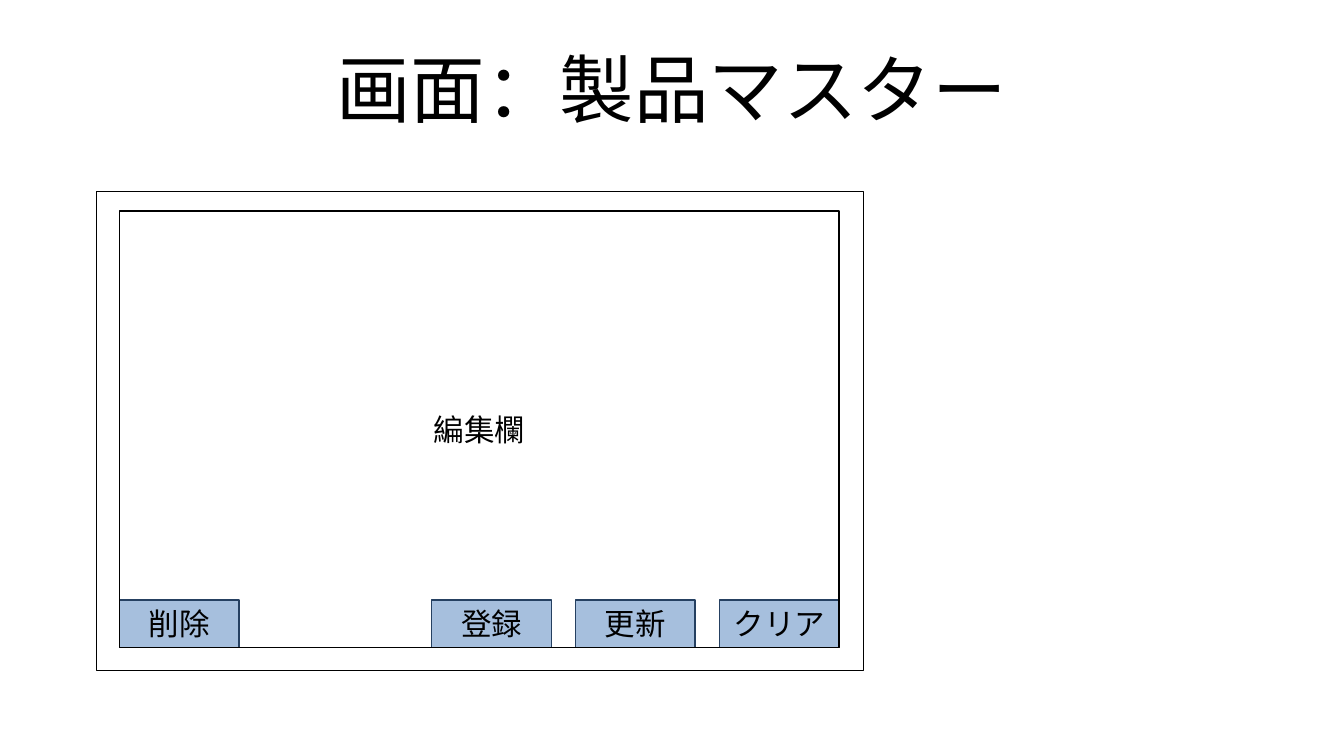
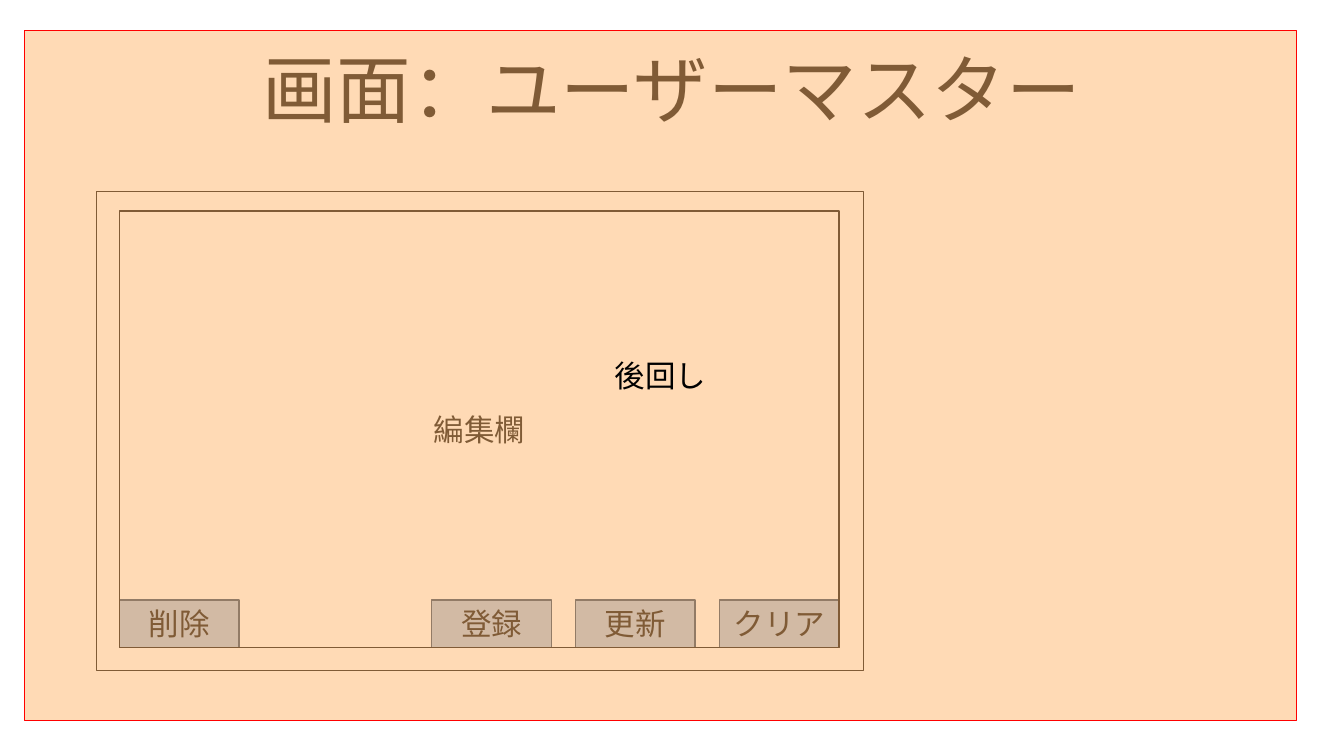
from dataclasses import dataclass

from lxml import etree
from pptx import Presentation
from pptx.dml.color import RGBColor
from pptx.enum import shapes, text
from pptx.oxml import ns
from pptx.util import Inches, Pt


@dataclass(frozen=True)
class Theme:
    """Colours, font and type sizes shared by the slides."""
    font: str = "Arial"
    ink: str = "000000"
    button_fill: str = "4F81BD"
    button_line: str = "254061"
    overlay_fill: str = "FFB66C"
    overlay_line: str = "FF0000"
    title_size: int = 44
    body_size: int = 18
    opacity: int = 50


@dataclass(frozen=True)
class Box:
    """A rectangle in inches."""
    left: float
    top: float
    width: float
    height: float

    def lengths(self):
        """Return the position and size as lengths."""
        return [Inches(value) for value in (self.left, self.top, self.width, self.height)]

    def inset(self, left, top, right, bottom):
        """Return the box inside the given margins."""
        return Box(self.left + left, self.top + top,
                   self.width - left - right, self.height - top - bottom)


THEME = Theme()
TITLE = Box(0.55, 0.25, 9.92, 1.03)
SCREEN = Box(0.79, 1.57, 6.29, 3.93)
OVERLAY = Box(0.2, 0.25, 10.43, 5.66)
BUTTON_WIDTH, BUTTON_HEIGHT, BUTTON_GAP = 0.98, 0.39, 0.2


def write_text(shape, words, size=THEME.body_size, color=THEME.ink,
               margins=(0.1, 0.05), line_spacing=None):
    """Write one centred paragraph in the middle of a shape."""
    frame = shape.text_frame
    frame.word_wrap = True
    frame.auto_size = text.MSO_AUTO_SIZE.NONE
    frame.vertical_anchor = text.MSO_ANCHOR.MIDDLE
    frame.margin_left = frame.margin_right = Inches(margins[0])
    frame.margin_top = frame.margin_bottom = Inches(margins[1])
    paragraph = frame.paragraphs[0]
    paragraph.alignment = text.PP_ALIGN.CENTER
    paragraph.line_spacing = line_spacing
    run = paragraph.add_run()
    run.text = words
    run.font.name = THEME.font
    run.font.size = Pt(size)
    run.font.color.rgb = RGBColor.from_string(color)


def add_rectangle(slide, box, words=None, fill=None, line=THEME.ink):
    """Add a hairline rectangle with an optional translucent fill and label."""
    shape = slide.shapes.add_shape(shapes.MSO_SHAPE.RECTANGLE, *box.lengths())
    shape.shadow.inherit = False
    shape.line.color.rgb = RGBColor.from_string(line)
    shape.line.width = Pt(0)
    if fill:
        shape.fill.solid()
        shape.fill.fore_color.rgb = RGBColor.from_string(fill)
        color = shape.fill._xPr.find(".//" + ns.qn("a:srgbClr"))
        etree.SubElement(color, ns.qn("a:alpha"), val=str(THEME.opacity * 1000))
    else:
        shape.fill.background()
    if words:
        write_text(shape, words)
    return shape


def add_title(slide, words, box):
    """Place and format the slide title."""
    title = slide.shapes.title
    title.left, title.top, title.width, title.height = box.lengths()
    write_text(title, words, size=THEME.title_size, margins=(0, 0), line_spacing=0.9)


def add_buttons(slide, box):
    """Line up the buttons along the bottom of a box."""
    step = BUTTON_WIDTH + BUTTON_GAP
    last = box.left + box.width - BUTTON_WIDTH
    buttons = [("登録", last - 2 * step), ("更新", last - step),
               ("削除", box.left), ("クリア", last)]
    top = box.top + box.height - BUTTON_HEIGHT
    for label, left in buttons:
        add_rectangle(slide, Box(left, top, BUTTON_WIDTH, BUTTON_HEIGHT), label,
                      fill=THEME.button_fill, line=THEME.button_line)


def add_screen(slide, box):
    """Draw the screen frame, its buttons and its edit area."""
    editor = box.inset(0.19, 0.16, 0.2, 0.19)
    add_rectangle(slide, box)
    add_buttons(slide, editor)
    add_rectangle(slide, editor, "編集欄")


def add_overlay(slide, words, box):
    """Cover a box with a translucent note."""
    add_rectangle(slide, box, words, fill=THEME.overlay_fill, line=THEME.overlay_line)


def add_screen_slide(presentation, title, note=None):
    """Add a slide with a titled screen and an optional covering note."""
    slide = presentation.slides.add_slide(presentation.slide_layouts.get_by_name("Title Only"))
    add_title(slide, title, TITLE)
    add_screen(slide, SCREEN)
    if note:
        add_overlay(slide, note, OVERLAY)


def main():
    """Build and save the presentation."""
    presentation = Presentation()
    presentation.slide_width, presentation.slide_height = Inches(11.02), Inches(6.2)
    add_screen_slide(presentation, "画面：製品マスター")
    add_screen_slide(presentation, "画面：ユーザーマスター", note="後回し")
    presentation.save("out.pptx")


if __name__ == "__main__":
    main()
